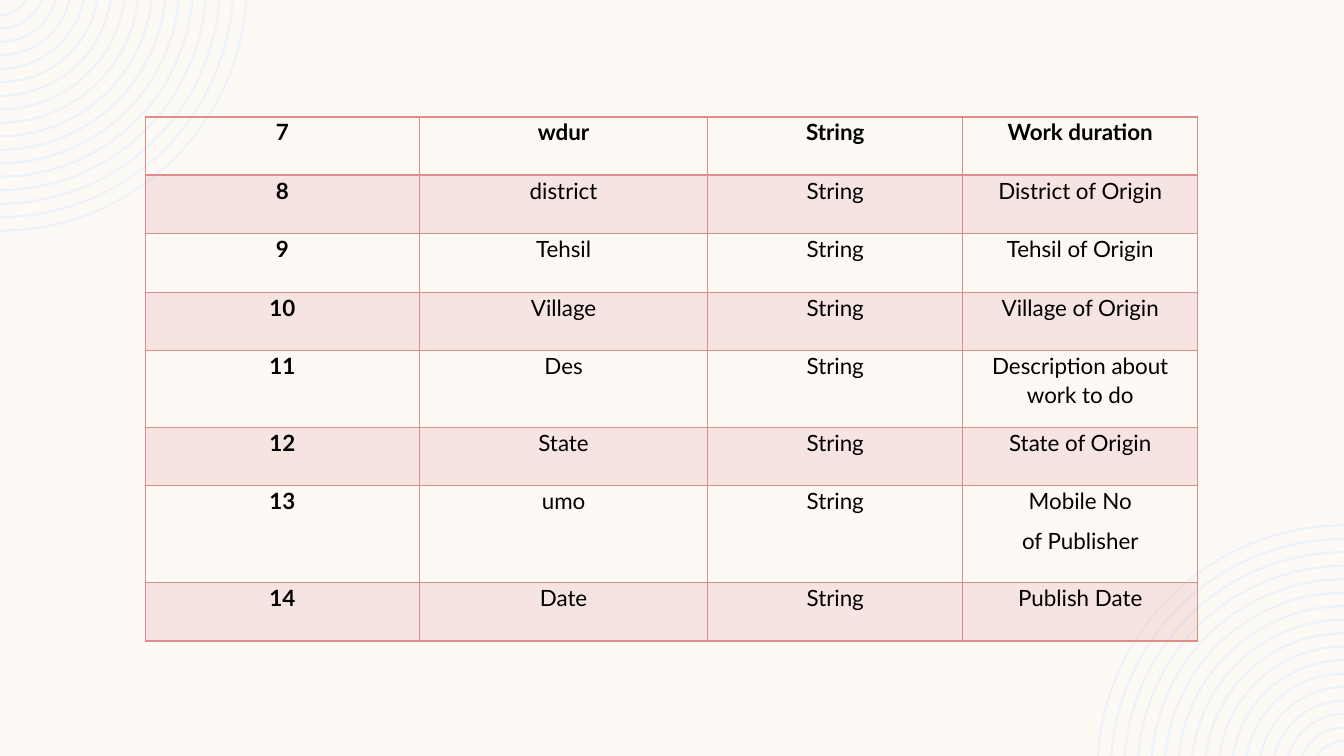
"""Builds a slide with a field table over two corners of rings."""
import math
import pptx
import pptx.dml.color
import pptx.enum.text
import pptx.oxml
import pptx.oxml.ns
import pptx.util
from pptx.util import Inches

ROSE = "DE8C8C"
WIDE, HIGH = 13.33, 7.5
SPACE = pptx.oxml.ns.nsdecls("a")


def color(code):
    return pptx.dml.color.RGBColor.from_string(code)


def border(cell, side, width):
    line = pptx.oxml.parse_xml(
        f'<a:ln{side} {SPACE} w="{pptx.util.Pt(width)}">'
        f'<a:solidFill><a:srgbClr val="{ROSE}"/></a:solidFill></a:ln{side}>')
    cell._tc.get_or_add_tcPr().append(line)


deck = pptx.Presentation()
deck.slide_width, deck.slide_height = Inches(WIDE), Inches(HIGH)
slide = deck.slides.add_slide(deck.slide_layouts[6])
slide.background.fill.solid()
slide.background.fill.fore_color.rgb = color("FDFAF6")

count, drop = 17, 0.16
gap = 2.14 / (count - 1)
for left, top, sign, turn in ((0, 0, 1, 0), (WIDE, HIGH, -1, 180)):
    rings, arcs = None, []
    for ring in range(count):
        outer = 2.46 - ring * gap
        points = []
        for radius, order in ((outer, 1), (outer - 0.18 * gap, -1)):
            start = math.degrees(math.asin(drop / radius))
            ends = [(math.sqrt(radius ** 2 - drop ** 2), 0), (0, radius - drop)]
            points += [(Inches(left + sign * x), Inches(top + sign * y))
                       for x, y in ends[::order]]
            begin = start if order == 1 else 90
            arcs.append((radius, begin + turn, order * (90 - start)))
        if rings is None:
            rings = slide.shapes.build_freeform(*points[0])
        else:
            rings.move_to(*points[0])
        rings.add_line_segments(points[1:], close=True)
    corner = rings.convert_to_shape()
    corner.shadow.inherit = False
    corner.fill.solid()
    corner.fill.fore_color.rgb = color("EEF3FA")
    corner.line.fill.background()
    edges = list(corner._element.iter(pptx.oxml.ns.qn("a:lnTo")))
    curves = [edge for place, edge in enumerate(edges) if place % 3 != 1]
    for edge, (radius, begin, sweep) in zip(curves, arcs):
        size = Inches(radius)
        edge.getparent().replace(edge, pptx.oxml.parse_xml(
            f'<a:arcTo {SPACE} wR="{size}" hR="{size}" '
            f'stAng="{round(begin * 60000)}" swAng="{round(sweep * 60000)}"/>'))

fields = [
    ("7", "wdur", "Work duration", 0.58),
    ("8", "district", "District of Origin", 0.58),
    ("9", "Tehsil", "Tehsil of Origin", 0.58),
    ("10", "Village", "Village of Origin", 0.58),
    ("11", "Des", "Description about work to do", 0.76),
    ("12", "State", "State of Origin", 0.58),
    ("13", "umo", "Mobile No\nof Publisher", 0.96),
    ("14", "Date", "Publish Date", 0.58),
]
table = slide.shapes.add_table(len(fields), 4, Inches(1.44), Inches(1.16),
                               Inches(10.44), Inches(5.18)).table
table.first_row = table.horz_banding = False
for column, width in zip(table.columns, (2.72, 2.86, 2.53, 2.33)):
    column.width = Inches(width)

for row, (number, name, about, height) in enumerate(fields):
    table.rows[row].height = Inches(height)
    for col, text in enumerate((number, name, "String", about)):
        cell = table.cell(row, col)
        cell.margin_left = cell.margin_right = Inches(0.07)
        cell.margin_top = cell.margin_bottom = 0
        cell.text_frame.text = text
        for para in cell.text_frame.paragraphs:
            para.alignment = pptx.enum.text.PP_ALIGN.CENTER
            para.line_spacing = 1.07
            para.space_after = pptx.util.Pt(8)
            for run in para.runs:
                run.font.name = "Lato"
                run.font.size = pptx.util.Pt(16)
                run.font.bold = row == 0 or col == 0
                run.font.color.rgb = color("000000")
        for side in "LRTB":
            heavy = (row, side) in ((0, "B"), (1, "T"))
            border(cell, side, 1.5 if heavy else 1)
        if row % 2:
            cell.fill.solid()
            cell.fill.fore_color.rgb = color(ROSE)
            fill = cell._tc.tcPr.find(pptx.oxml.ns.qn("a:solidFill"))
            fill[0].append(pptx.oxml.parse_xml(
                f'<a:alpha {SPACE} val="20000"/>'))
        else:
            cell.fill.background()

deck.save("out.pptx")
